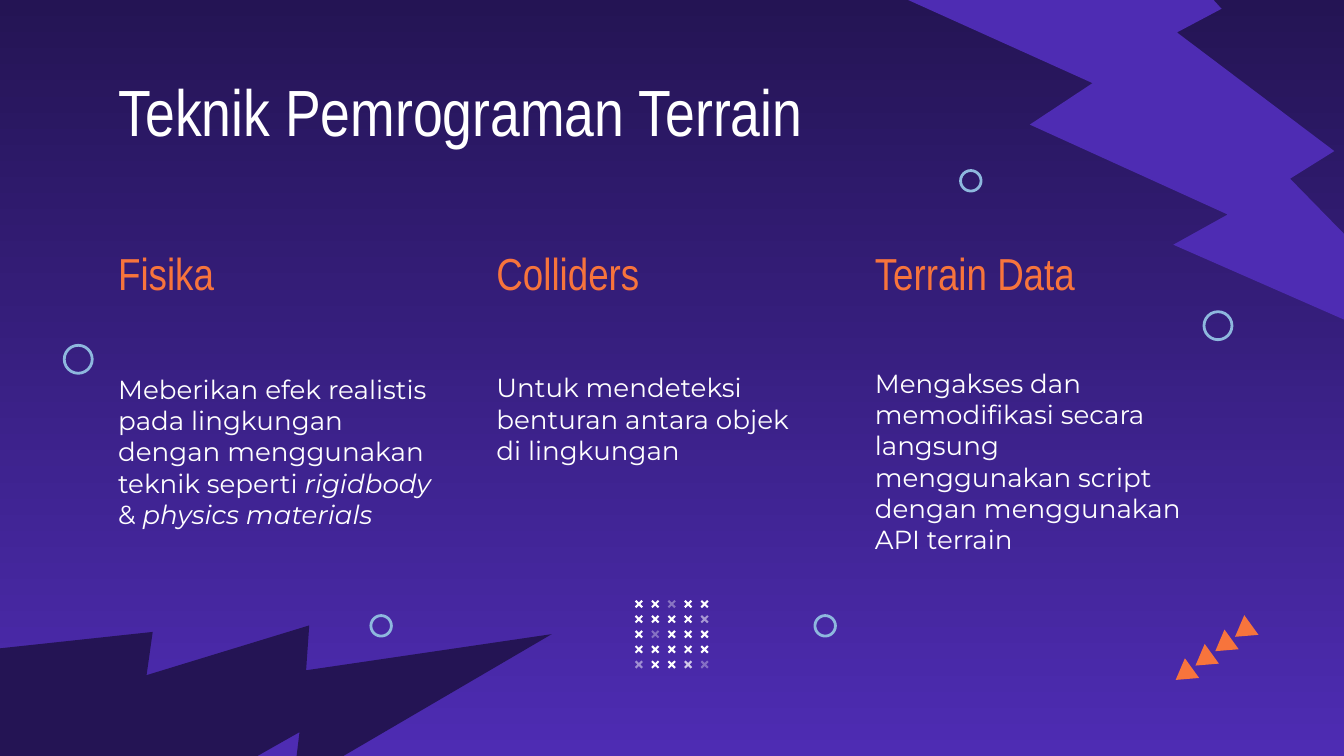
from dataclasses import dataclass
from itertools import product

import lxml.etree
import pptx
import pptx.dml.color
import pptx.enum.shapes
import pptx.enum.text
import pptx.oxml.ns
import pptx.util

Pt = pptx.util.Pt
RGBColor = pptx.dml.color.RGBColor
MSO_SHAPE = pptx.enum.shapes.MSO_SHAPE
MSO_ANCHOR = pptx.enum.text.MSO_ANCHOR

NIGHT = RGBColor(0x24, 0x14, 0x54)
VIOLET = RGBColor(0x4E, 0x2C, 0xB3)
ORANGE = RGBColor(0xF7, 0x74, 0x3C)
SKY = RGBColor(0x8E, 0xB8, 0xDE)
WHITE = RGBColor(0xFF, 0xFF, 0xFF)

HEADING_FONT = "Arial Narrow"
BODY_FONT = "Montserrat"


@dataclass
class Box:
    left: float
    top: float
    width: float
    height: float

    def lengths(self):
        return Pt(self.left), Pt(self.top), Pt(self.width), Pt(self.height)


@dataclass
class Run:
    text: str
    italic: bool = False


@dataclass
class Column:
    heading: str
    body: list[Run]
    body_top: float
    body_width: float
    body_height: float


COLUMNS = [
    Column("Fisika", [
        Run("Meberikan efek realistis pada lingkungan dengan menggunakan teknik seperti "),
        Run("rigidbody ", italic=True),
        Run("& "),
        Run("physics materials", italic=True),
    ], 177.1, 188, 129.6),
    Column("Colliders", [
        Run("Untuk mendeteksi benturan antara objek di lingkungan"),
    ], 175, 178, 98.6),
    Column("Terrain Data", [
        Run("Mengakses dan memodifikasi secara langsung menggunakan script "
            "dengan menggunakan API terrain"),
    ], 182.2, 188, 129.6),
]
COLUMN_LEFT, COLUMN_PITCH = 56.2, 202.7

RINGS = [
    Box(198.7, 329.8, 11, 11),
    Box(645, 167, 15, 15),
    Box(34.4, 185, 15, 15),
    Box(436.6, 329.8, 11, 11),
    Box(514.6, 91.4, 11, 11),
]

# Opacity in percent of the faded crosses, by (row, column)
FADED_CROSSES = {(0, 2): 36, (1, 4): 53, (2, 1): 34, (4, 0): 48, (4, 3): 75, (4, 4): 33}


def add_filled(shapes, kind: MSO_SHAPE, box: Box, color: RGBColor,
               rotation: float, opacity: int = 100):
    sp = shapes.add_shape(kind, *box.lengths())
    sp.shadow.inherit = False
    sp.rotation = rotation
    sp.fill.solid()
    sp.fill.fore_color.rgb = color
    sp.line.fill.background()
    if opacity < 100:
        qn = pptx.oxml.ns.qn
        srgb = sp.fill._xPr.find(qn("a:solidFill")).find(qn("a:srgbClr"))
        lxml.etree.SubElement(srgb, qn("a:alpha"), val=str(opacity * 1000))
    return sp


def add_ring(shapes, box: Box) -> None:
    sp = shapes.add_shape(MSO_SHAPE.OVAL, *box.lengths())
    sp.shadow.inherit = False
    sp.fill.background()
    sp.line.color.rgb = SKY
    sp.line.width = Pt(1.5)


def write_text(sp, runs: list[Run], font: str, size: float, color: RGBColor,
               anchor: MSO_ANCHOR = MSO_ANCHOR.MIDDLE) -> None:
    tf = sp.text_frame
    tf.word_wrap = True
    tf.auto_size = pptx.enum.text.MSO_AUTO_SIZE.NONE
    tf.vertical_anchor = anchor
    tf.margin_left = tf.margin_right = tf.margin_top = tf.margin_bottom = Pt(7.2)
    p = tf.paragraphs[0]
    p.alignment = pptx.enum.text.PP_ALIGN.LEFT
    for run in runs:
        r = p.add_run()
        r.text = run.text
        r.font.name = font
        r.font.size = Pt(size)
        r.font.color.rgb = color
        r.font.italic = run.italic


def add_column(shapes, column: Column, left: float) -> None:
    heading = shapes.add_textbox(*Box(left, 111.6, 188, 68.4).lengths())
    write_text(heading, [Run(column.heading)], HEADING_FONT, 24, ORANGE)
    body_box = Box(left, column.body_top, column.body_width, column.body_height)
    body = shapes.add_textbox(*body_box.lengths())
    write_text(body, column.body, BODY_FONT, 14, WHITE)


def set_background(slide) -> None:
    fill = slide.background.fill
    fill.gradient()
    fill.gradient_angle = 270
    for stop, color in zip(fill.gradient_stops, (NIGHT, VIOLET)):
        stop.color.rgb = color


def main() -> None:
    prs = pptx.Presentation()
    prs.slide_width, prs.slide_height = Pt(720), Pt(405)
    slide = prs.slides.add_slide(prs.slide_layouts.get_by_name("Title Only"))
    shapes = slide.shapes
    set_background(slide)

    bolt = MSO_SHAPE.LIGHTNING_BOLT
    add_filled(shapes, bolt, Box(483.1, -77, 300.2, 300.2), VIOLET, 353.7)
    add_filled(shapes, bolt, Box(-10.8, 258.5, 259.2, 259.2), NIGHT, 299.7)

    title = shapes.title
    title.left, title.top, title.width, title.height = Box(56.2, 31, 607, 46).lengths()
    write_text(title, [Run("Teknik Pemrograman Terrain")], HEADING_FONT, 35, WHITE,
               MSO_ANCHOR.TOP)

    for i, column in enumerate(COLUMNS):
        add_column(shapes, column, COLUMN_LEFT + i * COLUMN_PITCH)

    for i in range(4):
        box = Box(659.5 - 10.6 * i, 332.6 + 7.7 * i, 13, 10.8)
        add_filled(shapes, MSO_SHAPE.ISOSCELES_TRIANGLE, box, ORANGE, 234.2)

    for ring in RINGS:
        add_ring(shapes, ring)

    for row, col in product(range(5), repeat=2):
        box = Box(339.8 + 8.8 * col, 321.1 + 8.1 * row, 5, 5)
        cross = add_filled(shapes, MSO_SHAPE.CROSS, box, WHITE, 315,
                           FADED_CROSSES.get((row, col), 100))
        cross.adjustments[0] = 0.39

    prs.save("out.pptx")


if __name__ == "__main__":
    main()
